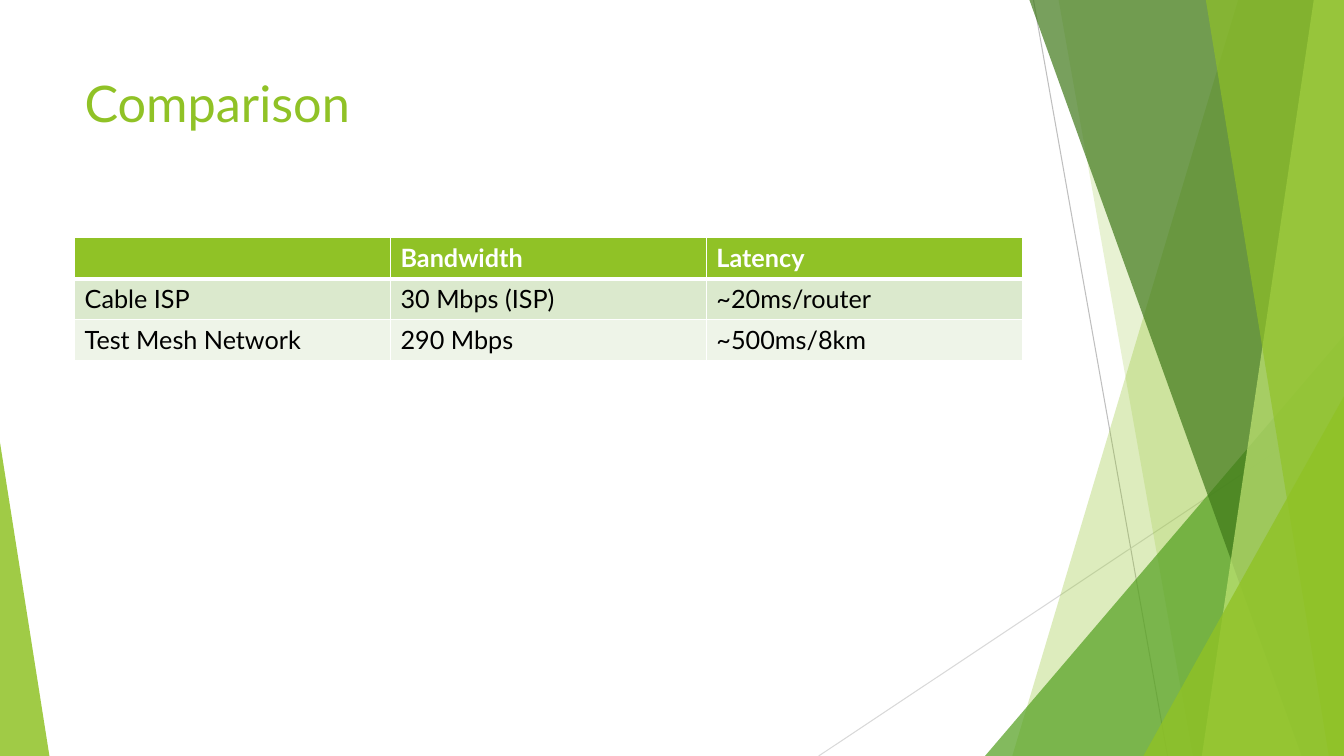
"""Build the Comparison slide: a table beside a fan of green facets."""
import pptx
import pptx.util
import pptx.dml.color
import pptx.enum.shapes
import pptx.oxml
import pptx.oxml.ns

TITLE = "Comparison"
ROWS = [
    ("", "Bandwidth", "Latency"),
    ("Cable ISP", "30 Mbps (ISP)", "~20ms/router"),
    ("Test Mesh Network", "290 Mbps", "~500ms/8km"),
]
THEME = {
    "font": "Lato", "title": 36, "body": 18,
    "lime": "90C226", "green": "54A021", "dark": "3F7819", "pale": "C0E474",
    "white": "FFFFFF", "black": "000000",
    "bands": ("90C226", "DBE9CD", "EEF4E8"),
}
WIDE, HIGH = 13.33, 7.5
LEFT, SPAN = 0.74, 9.4
LINES = [
    ((10.25, 0), (11.58, HIGH), "BFBFBF"),
    ((WIDE, 4.03), (8.12, HIGH), "D9D9D9"),
]
FACETS = [
    ("band", 12.28, 10.04, "lime", 30),
    ("band", 10.5, 11.83, "lime", 20),
    ("wedge", 9.77, 3.33, 3.56, 1, "green", 72),
    ("band", 10.21, 12.91, "dark", 70),
    ("band", 13.03, 11.92, "pale", 70),
    ("band", 11.96, 13.18, "lime", 65),
    ("wedge", 11.34, 3.93, 1.99, 1, "lime", 80),
    ("wedge", 0, 4.39, 0.49, 0, "lime", 85),
]

Inches = pptx.util.Inches
Pt = pptx.util.Pt
qn = pptx.oxml.ns.qn


def shade(hue):
    return pptx.dml.color.RGBColor.from_string(hue)


def child(node, tag, **attrs):
    made = node.makeelement(qn(tag), attrs)
    node.append(made)
    return made


def write(frame, text, size, hue, bold=False):
    run = frame.paragraphs[0].add_run()
    run.text = text
    font = run.font
    font.name, font.size, font.bold = THEME["font"], Pt(size), bold
    font.color.rgb = shade(hue)


def paint(shape, hue, alpha):
    shape.shadow.inherit = False
    shape.line.fill.background()
    shape.fill.solid()
    shape.fill.fore_color.rgb = shade(hue)
    tint = shape.fill._xPr.find(".//" + qn("a:srgbClr"))
    child(tint, "a:alpha", val=str(alpha * 1000))


def rule(start, end, hue):
    kind = pptx.enum.shapes.MSO_CONNECTOR.STRAIGHT
    line = slide.shapes.add_connector(kind, *map(Inches, start + end))
    line.line.color.rgb = shade(hue)
    line.line.width = Pt(0.75)
    child(line._element.spPr, "a:effectLst")


def band(top, base, hue, alpha):
    pen = slide.shapes.build_freeform(Inches(top), 0)
    ends = [(WIDE, 0), (WIDE, HIGH), (base, HIGH)]
    pen.add_line_segments([(Inches(x), Inches(y)) for x, y in ends])
    paint(pen.convert_to_shape(), THEME[hue], alpha)


def wedge(left, top, width, apex, hue, alpha):
    kind = pptx.enum.shapes.MSO_SHAPE.ISOSCELES_TRIANGLE
    box = map(Inches, (left, top, width, HIGH - top))
    shape = slide.shapes.add_shape(kind, *box)
    shape.adjustments[0] = apex
    paint(shape, THEME[hue], alpha)


def edge(cell, tag, width):
    line = child(cell._tc.get_or_add_tcPr(), tag, w=str(Pt(width)))
    fill = child(line, "a:solidFill")
    child(fill, "a:srgbClr", val=THEME["white"])


def grid(rows):
    box = map(Inches, (LEFT, 2.36, SPAN, 1.22))
    table = slide.shapes.add_table(len(rows), len(rows[0]), *box).table
    for r, row in enumerate(rows):
        hue = THEME["black" if r else "white"]
        for c, text in enumerate(row):
            cell = table.cell(r, c)
            sides = {"a:lnL": 1, "a:lnR": 1,
                     "a:lnT": 3 if r == 1 else 1, "a:lnB": 1 if r else 3}
            for tag, width in sides.items():
                edge(cell, tag, width)
            cell.fill.solid()
            cell.fill.fore_color.rgb = shade(THEME["bands"][r])
            if text:
                write(cell.text_frame, text, THEME["body"], hue, bold=r == 0)


deck = pptx.Presentation()
deck.slide_width, deck.slide_height = Inches(WIDE), Inches(HIGH)
slide = deck.slides.add_slide(deck.slide_layouts[6])

for item in LINES:
    rule(*item)
for kind, *parts in FACETS:
    {"band": band, "wedge": wedge}[kind](*parts)

head = slide.shapes.add_textbox(*map(Inches, (LEFT, 0.67, SPAN, 1.44)))
head.text_frame.word_wrap = True
write(head.text_frame, TITLE, THEME["title"], THEME["lime"])
grid(ROWS)
deck.save("out.pptx")
